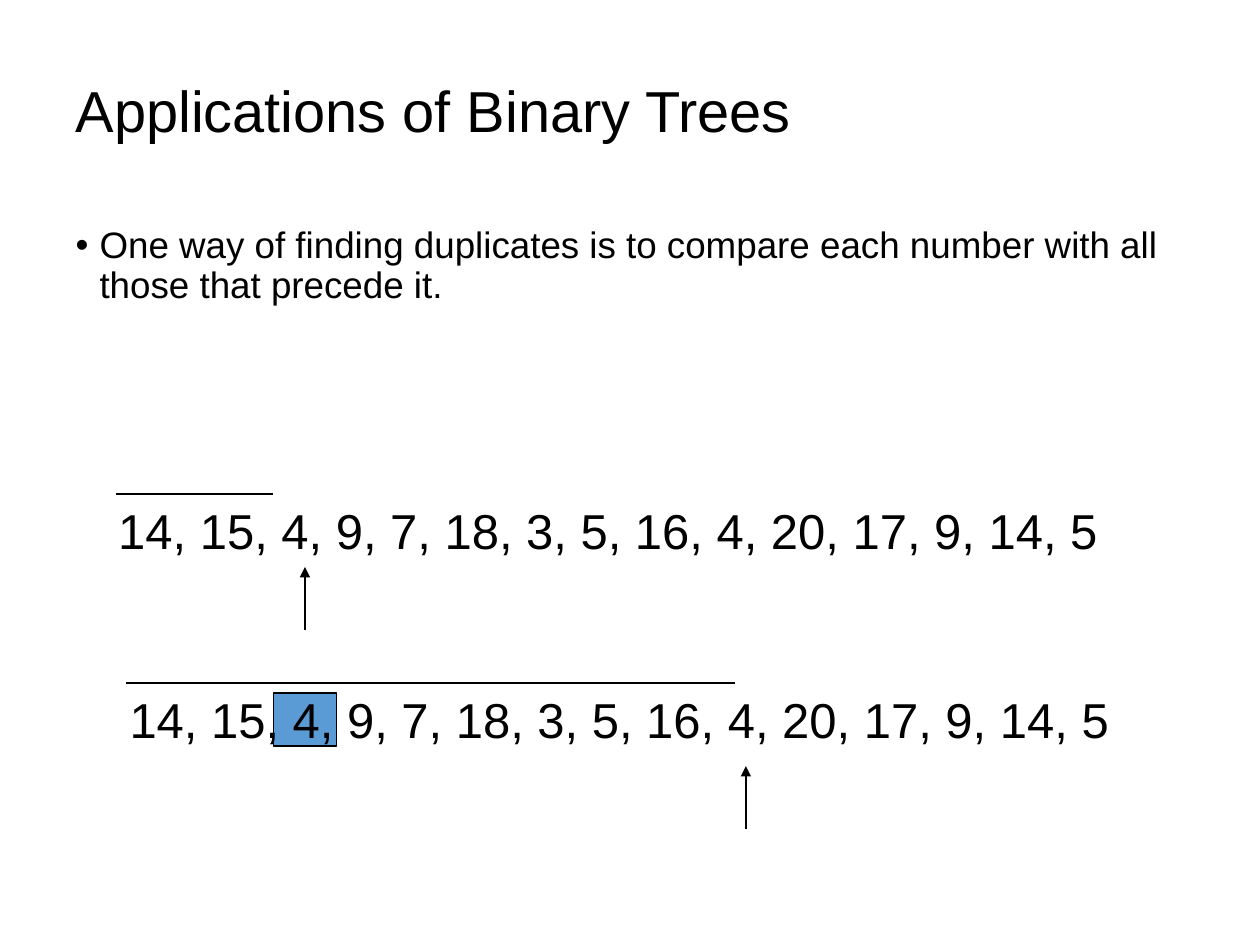
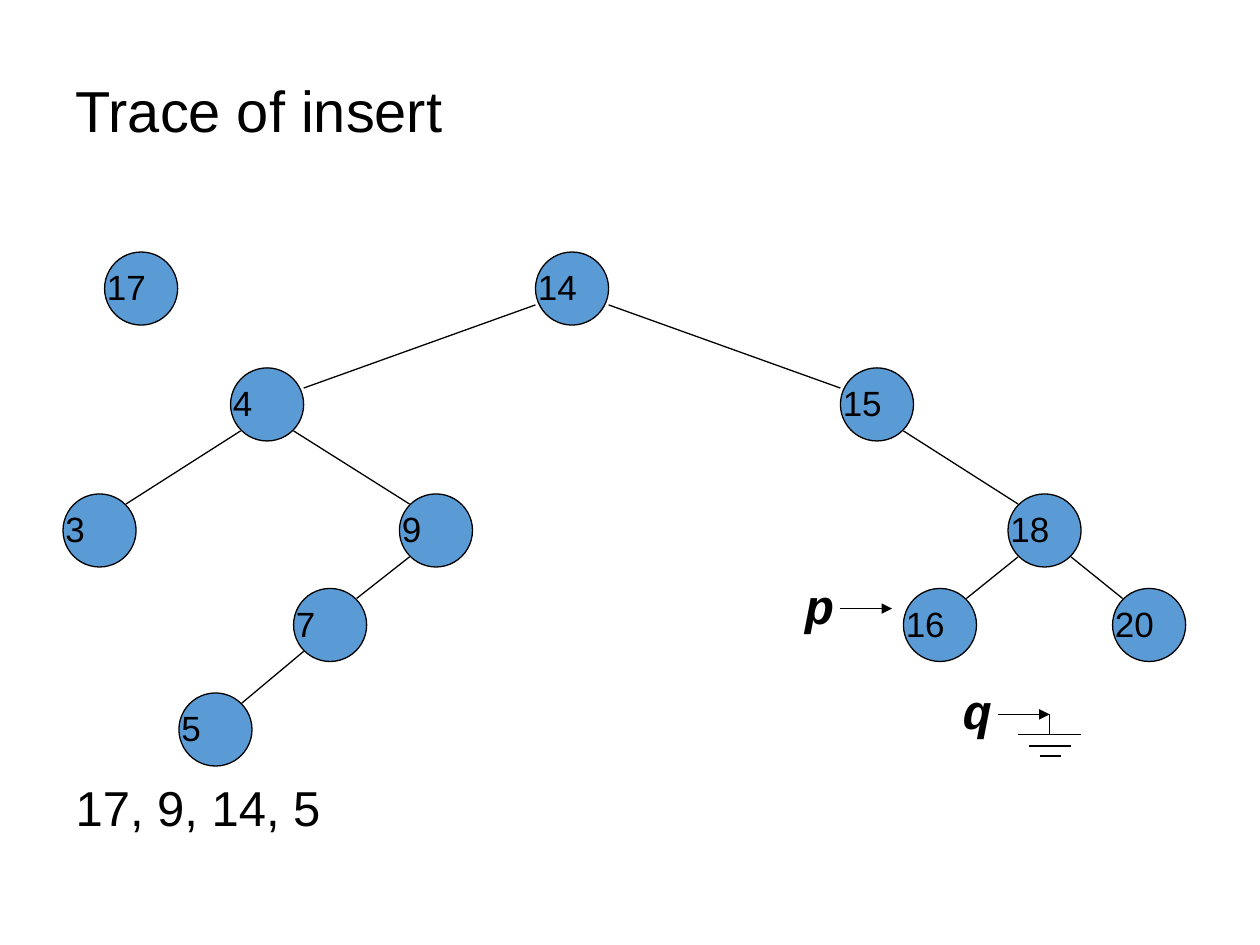
import dataclasses
import typing

import lxml.etree
import pptx
import pptx.dml.color
import pptx.enum.shapes
import pptx.enum.text
import pptx.oxml.ns
import pptx.shapes.shapetree
import pptx.slide
import pptx.text.text
import pptx.util

Inches = pptx.util.Inches
Pt = pptx.util.Pt
Point = tuple[float, float]
Shapes = pptx.shapes.shapetree.SlideShapes | pptx.shapes.shapetree.GroupShapes

INK = pptx.dml.color.RGBColor(0x00, 0x00, 0x00)
ACCENT = pptx.dml.color.RGBColor(0x5B, 0x9B, 0xD5)
LINE_WIDTH = Pt(0.75)

TITLE_FONT = {"name": "Arial", "size": Pt(33)}
POINT_FONT = {"name": "Arial", "size": Pt(21)}
NUMBERS_FONT = {"name": "Arial", "size": Pt(28)}
NODE_FONT = {"name": "Arial", "size": Pt(20)}
POINTER_FONT = {"name": "Courier New", "size": Pt(28), "bold": True, "italic": True}

TITLE_AREA = (0.5, 0.4, 9, 1)
PLACEHOLDER_PARAGRAPH = {
    "alignment": pptx.enum.text.PP_ALIGN.LEFT,
    "line_spacing": 0.9,
    "space_before": Pt(0),
}
HANGING_INDENT = Inches(0.19)
NODE_SIZE = 0.58
NUMBERS = "14, 15, 4, 9, 7, 18, 3, 5, 16, 4, 20, 17, 9, 14, 5"


@dataclasses.dataclass(frozen=True)
class Comparison:
    left: float
    top: float
    bar_start: float
    bar_end: float
    arrow_x: float
    arrow_top: float


@dataclasses.dataclass(frozen=True)
class Node:
    value: int
    left: float
    top: float


@dataclasses.dataclass(frozen=True)
class Edge:
    parent: int
    child: int
    inset_x: float = 0.08
    inset_y: float = 0.08


@dataclasses.dataclass(frozen=True)
class Pointer:
    name: str
    left: float
    top: float
    width: float
    arrow_start: Point
    arrow_end: Point


COMPARISONS = [
    Comparison(0.84, 3.92, 0.92, 2.17, 2.42, 4.5),
    Comparison(0.93, 5.42, 1, 5.83, 5.92, 6.08),
]
NODES = [
    Node(14, 4.25, 2),
    Node(15, 6.67, 2.92),
    Node(4, 1.83, 2.92),
    Node(9, 3.17, 3.92),
    Node(7, 2.33, 4.67),
    Node(18, 8, 3.92),
    Node(3, 0.5, 3.92),
    Node(5, 1.42, 5.5),
    Node(16, 7.17, 4.67),
    Node(20, 8.83, 4.67),
    Node(17, 0.83, 2),
]
EDGES = [
    Edge(14, 15, 0, 0.16),
    Edge(14, 4, 0, 0.16),
    Edge(4, 9),
    Edge(9, 7),
    Edge(15, 18),
    Edge(4, 3),
    Edge(7, 5),
    Edge(18, 16),
    Edge(18, 20),
]
POINTERS = [
    Pointer("p", 6.29, 4.52, 0.43, (6.67, 4.83), (7.08, 4.83)),
    Pointer("q", 7.54, 5.35, 0.46, (7.92, 5.67), (8.33, 5.67)),
]
NULL_SYMBOL = [
    ((8.08, 5.83), (8.58, 5.83)),
    ((8.17, 5.92), (8.5, 5.92)),
    ((8.25, 6), (8.42, 6)),
    ((8.33, 5.67), (8.33, 5.83)),
]


def apply_format(target: typing.Any, values: dict[str, typing.Any]) -> None:
    for attribute, value in values.items():
        setattr(target, attribute, value)


def write(paragraph: pptx.text.text._Paragraph, text: str, font: dict) -> None:
    run = paragraph.add_run()
    run.text = text
    apply_format(run.font, font)
    run.font.color.rgb = INK


def fill_placeholder(
    placeholder: typing.Any, area: tuple, text: str, font: dict
) -> pptx.text.text._Paragraph:
    apply_format(
        placeholder, dict(zip(("left", "top", "width", "height"), map(Inches, area)))
    )
    placeholder.text_frame.auto_size = pptx.enum.text.MSO_AUTO_SIZE.NONE
    paragraph = placeholder.text_frame.paragraphs[0]
    apply_format(paragraph, PLACEHOLDER_PARAGRAPH)
    write(paragraph, text, font)
    return paragraph


def set_bullet(paragraph: pptx.text.text._Paragraph, bullet: str | None) -> None:
    properties = paragraph._p.get_or_add_pPr()
    properties.set("marL", str(HANGING_INDENT))
    properties.set("indent", str(-HANGING_INDENT))
    tag = "a:buChar" if bullet else "a:buNone"
    mark = lxml.etree.SubElement(properties, pptx.oxml.ns.qn(tag))
    if bullet:
        mark.set("char", bullet)


def add_content_slide(
    deck: typing.Any, title: str, area: tuple, text: str, font: dict, bullet: str | None
) -> pptx.slide.Slide:
    slide = deck.slides.add_slide(deck.slide_layouts[1])
    fill_placeholder(slide.shapes.title, TITLE_AREA, title, TITLE_FONT)
    content = fill_placeholder(slide.placeholders[1], area, text, font)
    set_bullet(content, bullet)
    return slide


def add_label(
    shapes: Shapes, area: tuple, text: str, font: dict, wrap: bool = False
) -> None:
    frame = shapes.add_textbox(*map(Inches, area)).text_frame
    frame.word_wrap = wrap
    frame.auto_size = pptx.enum.text.MSO_AUTO_SIZE.SHAPE_TO_FIT_TEXT
    write(frame.paragraphs[0], text, font)


def add_line(shapes: Shapes, start: Point, end: Point, arrow: bool = False) -> None:
    line = shapes.add_connector(
        pptx.enum.shapes.MSO_CONNECTOR.STRAIGHT, *map(Inches, (*start, *end))
    )
    line.line.color.rgb = INK
    line.line.width = LINE_WIDTH
    properties = line._element.spPr
    if arrow:
        outline = properties.find(pptx.oxml.ns.qn("a:ln"))
        lxml.etree.SubElement(outline, pptx.oxml.ns.qn("a:tailEnd"), type="triangle")
    lxml.etree.SubElement(properties, pptx.oxml.ns.qn("a:effectLst"))


def add_filled(
    shapes: Shapes, kind: pptx.enum.shapes.MSO_SHAPE, area: tuple
) -> None:
    shape = shapes.add_shape(kind, *map(Inches, area))
    shape.shadow.inherit = False
    shape.fill.solid()
    shape.fill.fore_color.rgb = ACCENT
    shape.line.color.rgb = INK
    shape.line.width = LINE_WIDTH


def draw_comparison(shapes: Shapes, row: Comparison) -> None:
    add_label(shapes, (row.left, row.top, 7.97, 0.57), NUMBERS, NUMBERS_FONT)
    add_line(
        shapes,
        (row.arrow_x, row.arrow_top + 0.5),
        (row.arrow_x, row.arrow_top),
        arrow=True,
    )
    add_line(shapes, (row.bar_start, row.top), (row.bar_end, row.top))


def draw_node(shapes: Shapes, node: Node) -> None:
    members = shapes.add_group_shape().shapes
    add_filled(
        members,
        pptx.enum.shapes.MSO_SHAPE.OVAL,
        (node.left, node.top, NODE_SIZE, NODE_SIZE),
    )
    label_area = (node.left - 0.08, node.top + 0.06, 0.75, 0.44)
    add_label(members, label_area, str(node.value), NODE_FONT, wrap=True)


def draw_edge(shapes: Shapes, edge: Edge, nodes: dict[int, Node]) -> None:
    parent, child = nodes[edge.parent], nodes[edge.child]
    near, far = edge.inset_x, NODE_SIZE - edge.inset_x
    parent_x, child_x = (far, near) if child.left > parent.left else (near, far)
    add_line(
        shapes,
        (parent.left + parent_x, parent.top + NODE_SIZE - edge.inset_y),
        (child.left + child_x, child.top + edge.inset_y),
    )


def draw_pointer(shapes: Shapes, pointer: Pointer) -> None:
    members = shapes.add_group_shape().shapes
    label_area = (pointer.left, pointer.top, pointer.width, 0.57)
    add_label(members, label_area, pointer.name, POINTER_FONT)
    add_line(members, pointer.arrow_start, pointer.arrow_end, arrow=True)


def build_applications(deck: typing.Any) -> None:
    slide = add_content_slide(
        deck,
        "Applications of Binary Trees",
        (0.5, 1.75, 9, 2),
        "One way of finding duplicates is to compare each number with all "
        "those that precede it.",
        POINT_FONT,
        "•",
    )
    duplicate_area = (2.17, 5.5, 0.5, 0.42)
    add_filled(slide.shapes, pptx.enum.shapes.MSO_SHAPE.RECTANGLE, duplicate_area)
    for row in COMPARISONS:
        draw_comparison(slide.shapes, row)


def build_trace(deck: typing.Any) -> None:
    slide = add_content_slide(
        deck,
        "Trace of insert",
        (0.5, 6.17, 9, 0.75),
        "17, 9, 14, 5",
        NUMBERS_FONT,
        None,
    )
    nodes = {node.value: node for node in NODES}
    for node in NODES:
        draw_node(slide.shapes, node)
    for edge in EDGES:
        draw_edge(slide.shapes, edge, nodes)
    for pointer in POINTERS:
        draw_pointer(slide.shapes, pointer)
    null_symbol = slide.shapes.add_group_shape().shapes
    for start, end in NULL_SYMBOL:
        add_line(null_symbol, start, end)


def main() -> None:
    deck = pptx.Presentation()
    deck.slide_width = Inches(10)
    deck.slide_height = Inches(7.5)
    build_applications(deck)
    build_trace(deck)
    deck.save("out.pptx")


if __name__ == "__main__":
    main()
